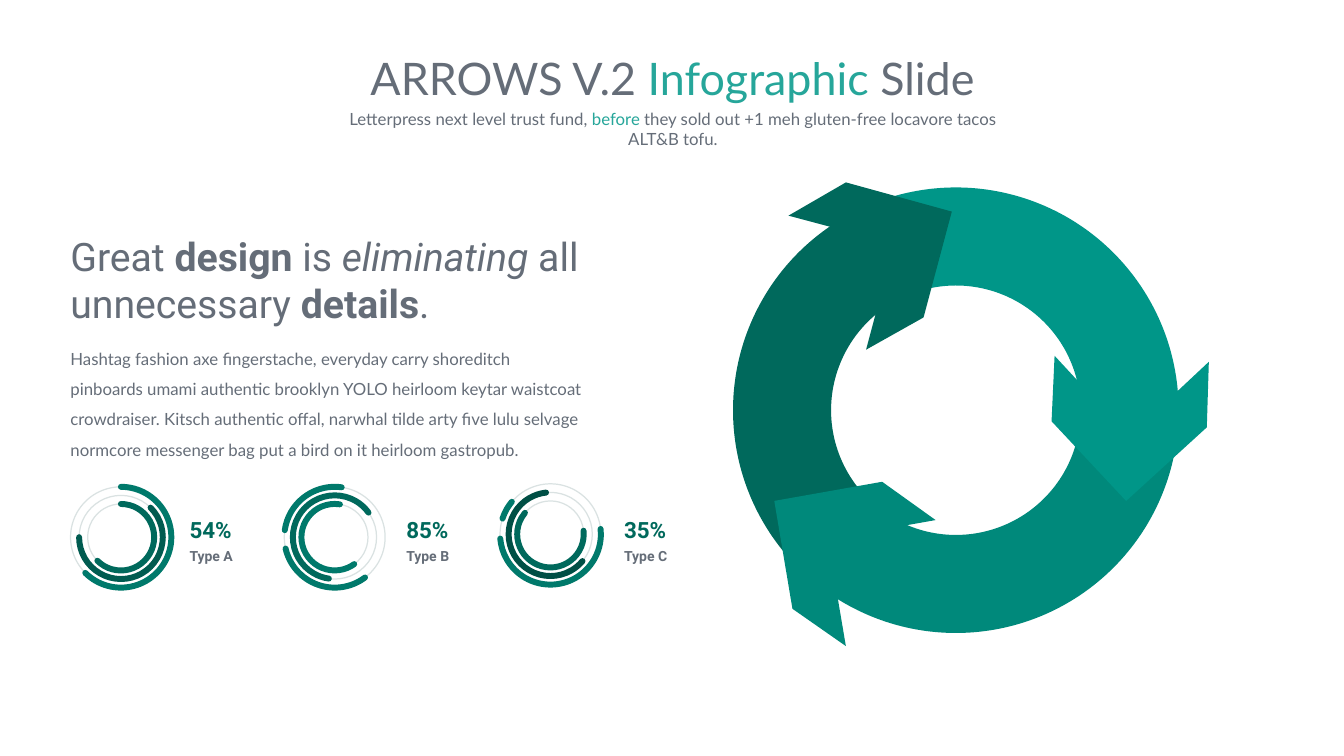
"""Build the circular arrows infographic slide with three ring gauges."""
from lxml import etree
from pptx import Presentation
from pptx.dml.color import RGBColor
from pptx.enum.shapes import MSO_SHAPE
from pptx.enum.text import PP_ALIGN
from pptx.oxml.ns import qn
from pptx.util import Inches, Pt

GREY, MINT, PALE = "656D78", "26A69A", "DAE2E2"
DARK, MID, TEAL, GREEN = "00695C", "00897B", "009688", "00796B"
color = RGBColor.from_string

prs = Presentation()
prs.slide_width, prs.slide_height = Inches(13.33), Inches(7.5)
s = prs.slides.add_slide(prs.slide_layouts[6])


def add_text(runs, x, y, w, h, size, font="Lato", align=PP_ALIGN.LEFT, spacing=1.0, inset=True):
    tf = s.shapes.add_textbox(Inches(x), Inches(y), Inches(w), Inches(h)).text_frame
    tf.word_wrap = True
    if not inset:
        tf.margin_left = tf.margin_top = tf.margin_right = tf.margin_bottom = 0
    p = tf.paragraphs[0]
    p.alignment, p.line_spacing = align, spacing
    for text, hue, style in runs:
        r = p.add_run()
        r.text = text
        r.font.name, r.font.size = font, Pt(size)
        r.font.color.rgb = color(hue)
        r.font.bold, r.font.italic = style == "bold", style == "italic"


def add_round(kind, cx, cy, radius, angles=(), fill=None, line=None, width=0.88):
    sp = s.shapes.add_shape(kind, Inches(cx - radius), Inches(cy - radius),
                            Inches(2 * radius), Inches(2 * radius))
    sp.shadow.inherit = False
    for i, angle in enumerate(angles):
        sp.adjustments[i] = angle % 360 * 0.6
    if fill:
        sp.fill.solid()
        sp.fill.fore_color.rgb = color(fill)
    else:
        sp.fill.background()
    if line:
        sp.line.color.rgb = color(line)
        sp.line.width = Pt(width)
    else:
        sp.line.fill.background()
    return sp


add_text([("ARROWS V.2 ", GREY, ""), ("Infographic ", MINT, ""), ("Slide", GREY, "")],
         2.54, 0.45, 8.26, 0.64, 32, align=PP_ALIGN.CENTER)
add_text([("Letterpress next level trust fund, ", GREY, ""), ("before", MINT, ""),
          (" they sold out +1 meh gluten-free locavore tacos ALT&B tofu.", GREY, "")],
         3.2, 1.03, 6.95, 0.3, 12, align=PP_ALIGN.CENTER)

for start, end, fill in [(132, 252, DARK), (12, 138, MID), (252, 12, TEAL)]:
    sp = add_round(MSO_SHAPE.BLOCK_ARC, 9.48, 4.07, 2.21, (start, end), fill=fill)
    sp.adjustments[2] = 0.22

heads = [
    (DARK, [(8.59, 3.47), (8.87, 2.42), (7.82, 2.14), (8.39, 1.81), (9.44, 2.1), (9.16, 3.15)]),
    (TEAL, [(10.46, 3.53), (11.2, 4.33), (11.99, 3.59), (11.97, 4.24), (11.17, 4.97), (10.43, 4.18)]),
    (MID, [(9.28, 5.16), (8.21, 5.35), (8.39, 6.41), (7.86, 6.04), (7.68, 4.97), (8.75, 4.78)]),
]
for fill, points in heads:
    corners = [(Inches(x), Inches(y)) for x, y in points]
    builder = s.shapes.build_freeform(*corners[0])
    builder.add_line_segments(corners[1:], close=True)
    sp = builder.convert_to_shape()
    sp.shadow.inherit = False
    sp.fill.solid()
    sp.fill.fore_color.rgb = color(fill)
    sp.line.fill.background()

add_text([("Great ", GREY, ""), ("design", GREY, "bold"), (" is ", GREY, ""),
          ("eliminating", GREY, "italic"), (" all unnecessary ", GREY, ""),
          ("details", GREY, "bold"), (".", GREY, "")],
         0.6, 2.26, 5.46, 1.04, 28, font="Roboto")
add_text([("Hashtag fashion axe fingerstache, everyday carry shoreditch pinboards "
           "umami authentic brooklyn YOLO heirloom keytar waistcoat crowdraiser. Kitsch "
           "authentic offal, narwhal tilde arty five lulu selvage normcore messenger bag "
           "put a bird on it heirloom gastropub.", GREY, "")],
         0.6, 3.31, 5.32, 1.31, 12, spacing=1.5)

OUTER, MIDDLE, INNER = radii = (0.5, 0.415, 0.33)
gauges = [
    ("54%", "Type A", 1.2, 5.33, 1.88,
     [(OUTER, 270, 135, GREEN), (MIDDLE, 315, 180, "005B50"), (INNER, 270, 135, DARK)]),
    ("85%", "Type B", 3.32, 5.33, 4.03,
     [(OUTER, 188, 278, GREEN), (OUTER, 53, 167, GREEN), (MIDDLE, 98, 324, DARK),
      (INNER, 54, 279, GREEN)]),
    ("35%", "Type C", 5.46, 5.3, 6.19,
     [(OUTER, 198, 220, GREEN), (OUTER, 354, 175, GREEN), (MIDDLE, 40, 264, "004F45"),
      (INNER, 354, 220, DARK)]),
]
for value, label, cx, cy, text_x, arcs in gauges:
    for radius in radii:
        add_round(MSO_SHAPE.OVAL, cx, cy, radius, line=PALE)
    for radius, start, end, hue in arcs:
        sp = add_round(MSO_SHAPE.ARC, cx, cy, radius, (start, end), line=hue, width=4.25)
        ln = sp.line._get_or_add_ln()
        ln.set("cap", "rnd")
        etree.SubElement(ln, qn("a:round"))
    add_text([(value, DARK, "bold")], text_x, 5.15, 0.49, 0.29, 16,
             font="Roboto", spacing=0.9, inset=False)
    add_text([(label, GREY, "bold")], text_x, 5.45, 0.49, 0.23, 10,
             font="Roboto", spacing=0.9, inset=False)

prs.save("out.pptx")
